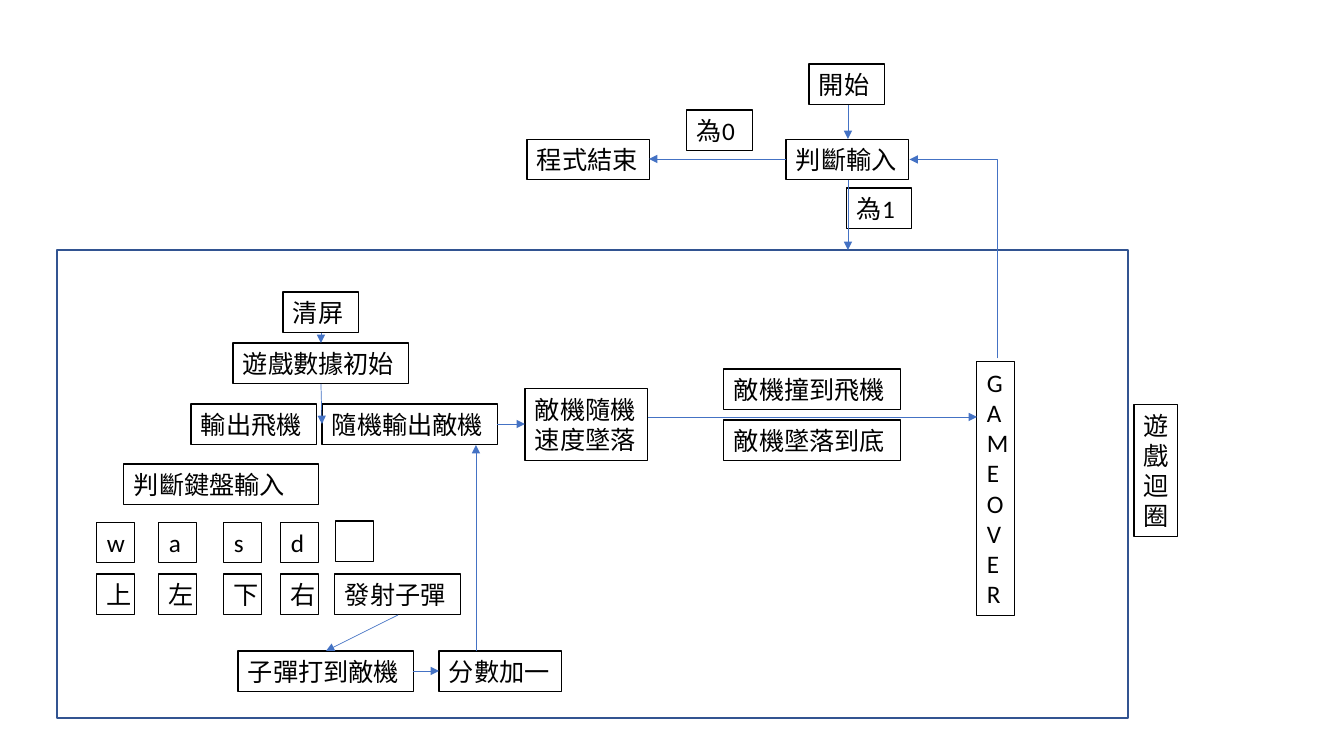
"""Build the flow chart of a plane shooting game."""
from lxml import etree
from pptx import Presentation, util as u
from pptx.dml import color
from pptx.enum import shapes, text
from pptx.oxml import ns

PIXEL = 914400 / 100.8
LINE_HEIGHT = 41
FRAME = (57, 250, 1071, 468)
STEPS = [
    ("開始", 809, 64, 76),
    ("判斷輸入", 786, 139, 123),
    ("為0", 687, 110, 66),
    ("程式結束", 527, 139, 123),
    ("為1", 847, 188, 65),
    ("清屏", 283, 292, 76),
    ("遊戲數據初始", 233, 343, 176),
    ("輸出飛機", 191, 404, 126),
    ("隨機輸出敵機", 322, 404, 176),
    ("判斷鍵盤輸入", 124, 464, 195),
    ("發射子彈", 335, 574, 126),
    ("子彈打到敵機", 238, 651, 176),
    ("分數加一", 439, 651, 123),
    ("敵機撞到飛機", 724, 369, 177),
    ("敵機墜落到底", 724, 420, 177),
]
TALL_STEPS = [
    ("敵機隨機速度墜落", 525, 389, 123, 72),
    ("GAME OVER", 977, 362, 38, 254),
    ("遊戲迴圈", 1134, 405, 44, 132),
]
KEYS = [("w", "上", 97), ("a", "左", 159), ("s", "下", 224), ("d", "右", 281)]
KEY_TOP, MOVE_TOP, KEY_WIDTH = 522, 574, 38
SPACE_KEY = ("", 336, 521, KEY_WIDTH)
ARROWS = [
    (848, 105, 848, 139),
    (848, 180, 848, 250),
    (786, 159, 649, 159),
    (321, 333, 321, 343),
    (321, 384, 322, 424),
    (398, 615, 326, 651),
    (497, 424, 525, 424),
    (476, 651, 476, 445),
    (413, 671, 439, 671),
    (648, 417, 977, 417),
]
RESTART = (854, 303, 1053, 215)


def emu(*pixels):
    return [round(value * PIXEL) for value in pixels]


def rgb(value):
    return color.RGBColor.from_string(value)


def assign(target, values):
    for name, value in values.items():
        setattr(target, name, value)


def outline(shape, hue, width):
    shape.line.color.rgb = rgb(hue)
    shape.line.width = u.Pt(width)


def add_step(page, label, left, top, width, height=LINE_HEIGHT):
    box = page.shapes.add_textbox(*emu(left, top, width, height))
    outline(box, "000000", 0.75)
    assign(box.text_frame, {"word_wrap": True, "auto_size": text.MSO_AUTO_SIZE.SHAPE_TO_FIT_TEXT})
    if label:
        span = box.text_frame.paragraphs[0].add_run()
        span.text = label
        assign(span.font, {"name": "Calibri", "size": u.Pt(18)})
        span.font.color.rgb = rgb("000000")


def add_arrow(page, ends, kind=shapes.MSO_CONNECTOR.STRAIGHT):
    arrow = page.shapes.add_connector(kind, *emu(*ends))
    outline(arrow, "4472C4", 0.5)
    properties = arrow._element.spPr
    etree.SubElement(properties.find(ns.qn("a:ln")), ns.qn("a:tailEnd"), type="triangle")
    etree.SubElement(properties, ns.qn("a:effectLst"))
    return arrow


deck = Presentation()
deck.slide_width, deck.slide_height = emu(1344, 756)
page = deck.slides.add_slide(deck.slide_layouts[6])

frame = page.shapes.add_shape(shapes.MSO_SHAPE.RECTANGLE, *emu(*FRAME))
frame.shadow.inherit = False
frame.fill.background()
outline(frame, "325491", 1)

for step in STEPS + TALL_STEPS + [SPACE_KEY]:
    add_step(page, *step)
for key, move, left in KEYS:
    add_step(page, key, left, KEY_TOP, KEY_WIDTH)
    add_step(page, move, left, MOVE_TOP, KEY_WIDTH)

for ends in ARROWS:
    add_arrow(page, ends)
restart = add_arrow(page, RESTART, shapes.MSO_CONNECTOR.ELBOW)
restart._element.spPr.find(ns.qn("a:xfrm")).set("rot", str(270 * 60000))
restart._element.spPr.find(ns.qn("a:prstGeom")).set("prst", "bentConnector2")

deck.save("out.pptx")
